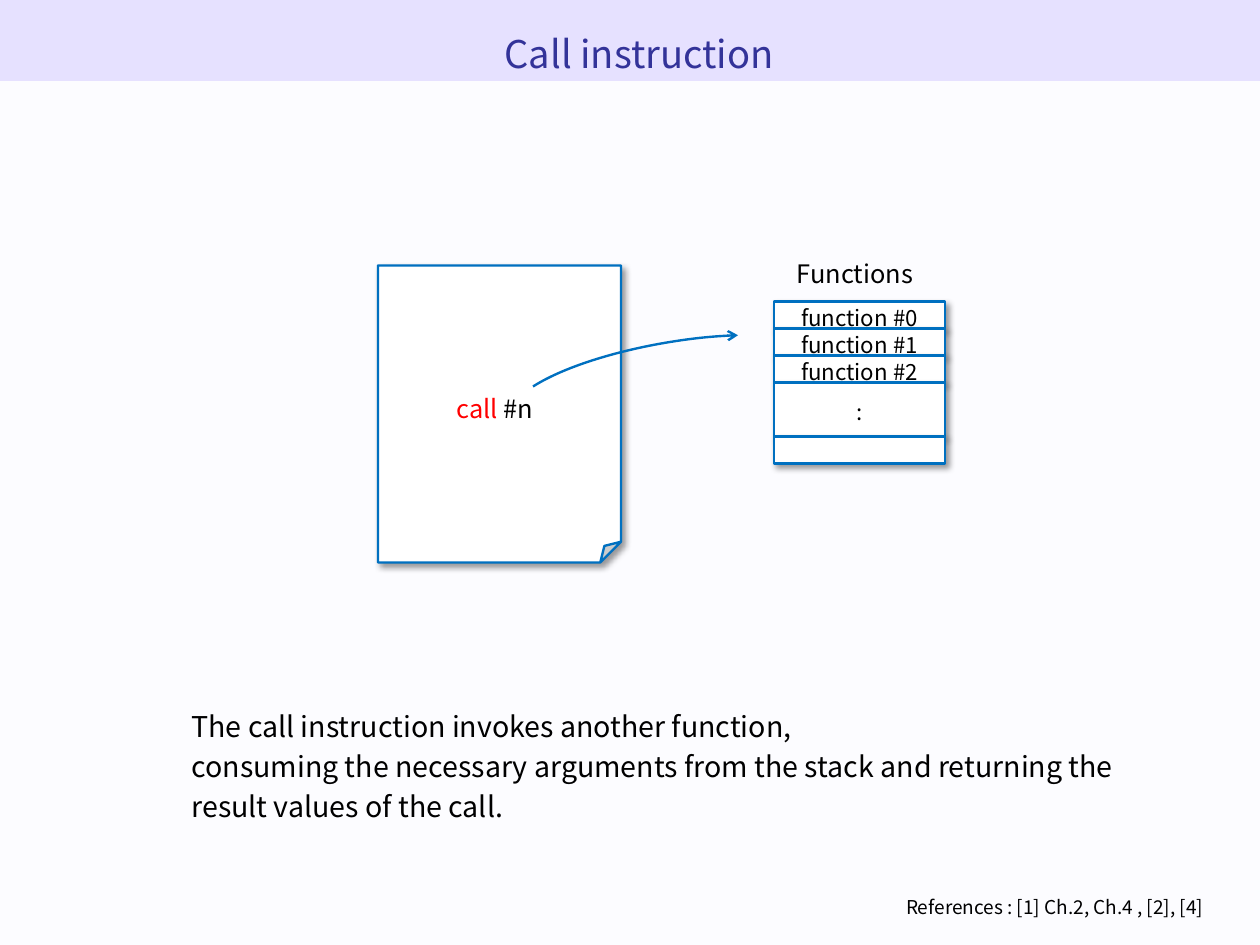
from dataclasses import dataclass

from lxml import etree
from pptx import Presentation
from pptx.dml.color import RGBColor
from pptx.enum.shapes import MSO_SHAPE
from pptx.enum.text import MSO_ANCHOR, MSO_AUTO_SIZE, PP_ALIGN
from pptx.oxml.ns import qn
from pptx.util import Mm, Pt

LEFT, CENTER, RIGHT = PP_ALIGN.LEFT, PP_ALIGN.CENTER, PP_ALIGN.RIGHT
TOP, MIDDLE = MSO_ANCHOR.TOP, MSO_ANCHOR.MIDDLE
RECTANGLE, SHEET, ARC = MSO_SHAPE.RECTANGLE, MSO_SHAPE.FOLDED_CORNER, MSO_SHAPE.ARC
NO_AUTOFIT = MSO_AUTO_SIZE.NONE

# The page is a grid of 280 columns by 210 rows, one millimetre each
COLUMNS, ROWS = 280, 210


@dataclass(frozen=True)
class Theme:
    font: str = "Noto Sans CJK SC"
    page: str = "FCFCFF"
    band: str = "E6E1FF"
    title: str = "333399"
    text: str = "000000"
    keyword: str = "FF0000"
    paper: str = "FFFFFF"
    line: str = "0070C0"
    title_size: int = 24
    body_size: int = 18
    label_size: int = 16
    row_size: int = 14
    reference_size: int = 12
    line_width: float = 1.5
    line_spacing: float = 1.17


THEME = Theme()


def color(name):
    return RGBColor.from_string(name)


def grid(box):
    return [Mm(cells) for cells in box]


def place(shape, box):
    shape.left, shape.top, shape.width, shape.height = grid(box)


def style_text(frame, size, align=LEFT, ink=THEME.text, anchor=TOP, wrap=True):
    frame.auto_size = NO_AUTOFIT
    frame.word_wrap = wrap
    frame.vertical_anchor = anchor
    for para in frame.paragraphs:
        para.alignment = align
        para.line_spacing = THEME.line_spacing
        para.space_before = Pt(0)
        for span in para.runs:
            span.font.name = THEME.font
            span.font.size = Pt(size)
            span.font.color.rgb = color(ink)


def add_label(page, box, text, size, align):
    label = page.shapes.add_textbox(*grid(box))
    label.text_frame.text = text
    style_text(label.text_frame, size, align)
    return label


def add_outline(shape):
    shape.line.color.rgb = color(THEME.line)
    shape.line.width = Pt(THEME.line_width)


def add_shadow(shape):
    shape.shadow.inherit = False
    effects = shape.element.spPr.find(qn("a:effectLst"))
    shadow = etree.SubElement(
        effects, qn("a:outerShdw"), blurRad=str(Pt(4)), dist=str(Pt(3)),
        dir=str(45 * 60000), algn="tl", rotWithShape="0")
    tint = etree.SubElement(shadow, qn("a:srgbClr"), val="000000")
    etree.SubElement(tint, qn("a:alpha"), val="40000")


def set_fold(sheet, thousandths):
    guides = next(sheet.element.spPr.iter(qn("a:avLst")))
    etree.SubElement(guides, qn("a:gd"), name="adj",
                     fmla=f"val {thousandths * 100}")


def add_sheet(page, box, fold=0):
    sheet = page.shapes.add_shape(SHEET, *grid(box))
    set_fold(sheet, fold)
    sheet.fill.solid()
    sheet.fill.fore_color.rgb = color(THEME.paper)
    add_outline(sheet)
    add_shadow(sheet)
    return sheet


def add_header(page, box):
    left, top, width, height = box
    band = page.shapes.add_shape(RECTANGLE, *grid(box))
    band.shadow.inherit = False
    band.fill.solid()
    band.fill.fore_color.rgb = color(THEME.band)
    band.line.fill.background()
    # The band lies behind the title
    band.element.getparent().insert(2, band.element)

    title = page.shapes.title
    place(title, (left + 10, top + 3.8, width - 16, height + 6))
    title.text_frame.text = "Call instruction"
    style_text(title.text_frame, THEME.title_size, CENTER, THEME.title)


def add_code_sheet(page, box):
    left, top, width, height = box
    add_sheet(page, box, fold=85)
    label = add_label(page, (left + 2, top + 26, width - 6, 12),
                      "call", THEME.label_size, CENTER)
    para = label.text_frame.paragraphs[0]
    para.add_run().text = " #n"
    style_text(label.text_frame, THEME.label_size, CENTER)
    para.runs[0].font.color.rgb = color(THEME.keyword)


def add_call_arrow(page, box):
    arrow = page.shapes.add_shape(ARC, *grid(box))
    arrow.shadow.inherit = False
    arrow.adjustments[0], arrow.adjustments[1] = 126.35, 209.58
    arrow.rotation = 350.4
    arrow.element.spPr.find(qn("a:xfrm")).set("flipH", "1")
    arrow.fill.background()
    add_outline(arrow)
    line = arrow.element.spPr.find(qn("a:ln"))
    etree.SubElement(line, qn("a:headEnd"), type="arrow")


def add_function_list(page, box):
    left, top, width, height = box
    rows = [("function #0", 1), ("function #1", 1), ("function #2", 1),
            (":", 2), ("", 1)]
    unit = height / sum(share for _, share in rows)
    add_label(page, (left - 4, top - 12, width + 6, 12),
              "Functions", THEME.label_size, CENTER)
    for text, share in rows:
        row = add_sheet(page, (left, top, width, share * unit))
        if text:
            row.text_frame.text = text
            style_text(row.text_frame, THEME.row_size, CENTER,
                       anchor=MIDDLE, wrap=False)
        top += share * unit


def add_explanation(page, box):
    body = page.placeholders[1]
    place(body, box)
    body.text_frame.text = (
        "The call instruction invokes another function,\n"
        "consuming the necessary arguments from the stack and returning "
        "the result values of the call.")
    for para in body.text_frame.paragraphs:
        properties = para._p.get_or_add_pPr()
        properties.set("marL", "0")
        properties.set("indent", "0")
        etree.SubElement(properties, qn("a:buNone"))
    style_text(body.text_frame, THEME.body_size)


def main():
    deck = Presentation()
    deck.slide_width, deck.slide_height = Mm(COLUMNS), Mm(ROWS)
    page = deck.slides.add_slide(deck.slide_layouts[1])
    page.background.fill.solid()
    page.background.fill.fore_color.rgb = color(THEME.page)

    # Title band
    add_header(page, (0, 0, COLUMNS, 18))
    # Diagram: code, call arrow, function list
    add_code_sheet(page, (84, 59, 54, 66))
    add_call_arrow(page, (112.8, 76, 74, 21))
    add_function_list(page, (172, 67, 38, 36))
    # Explanation and references
    add_explanation(page, (40, 155, 210, 12))
    add_label(page, (12, 197, 258, 9.4), "References : [1] Ch.2, Ch.4 , [2], [4]",
              THEME.reference_size, RIGHT)

    deck.save("out.pptx")


if __name__ == "__main__":
    main()
